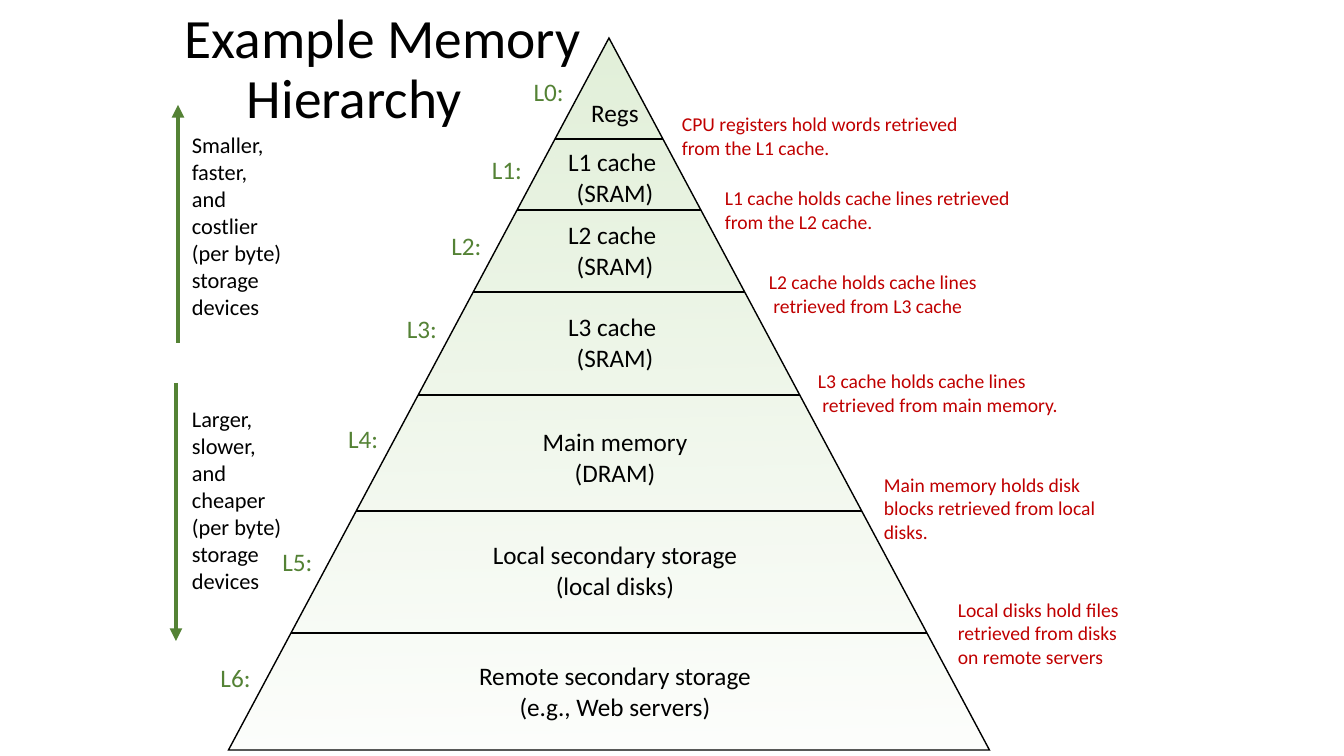
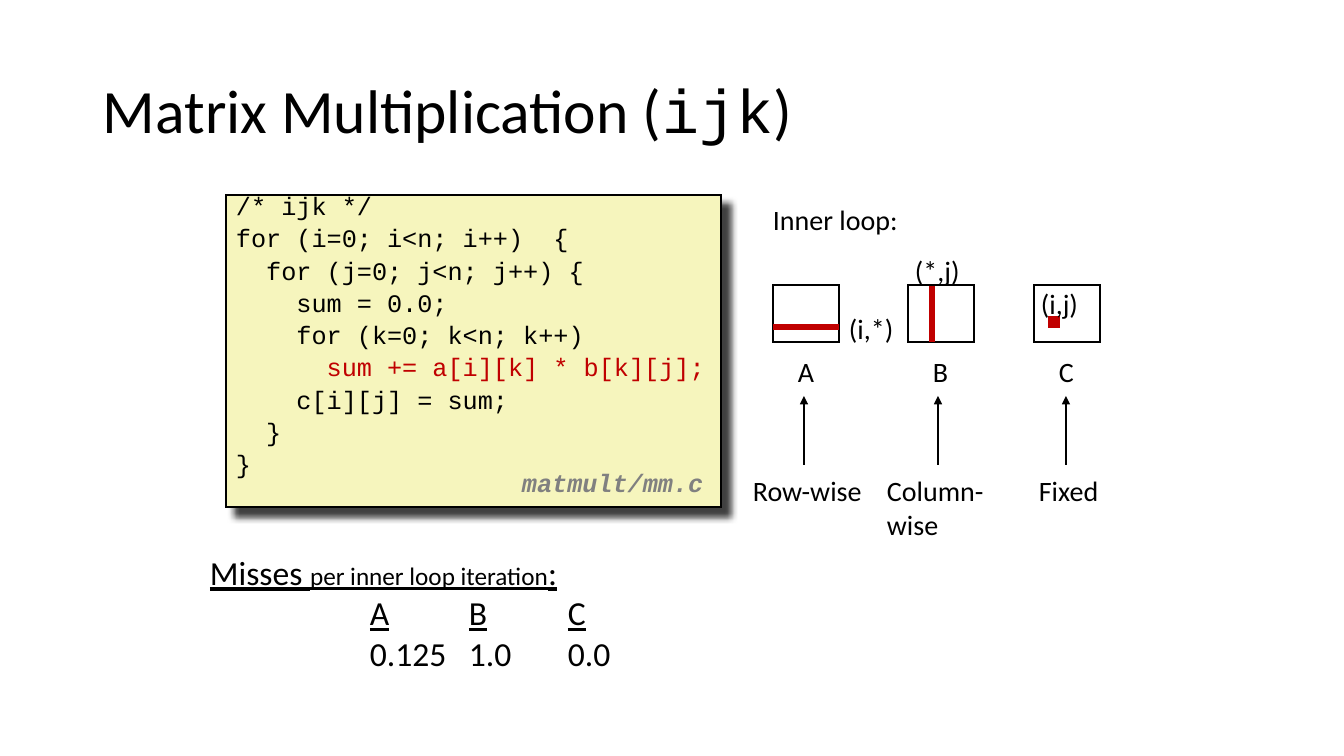
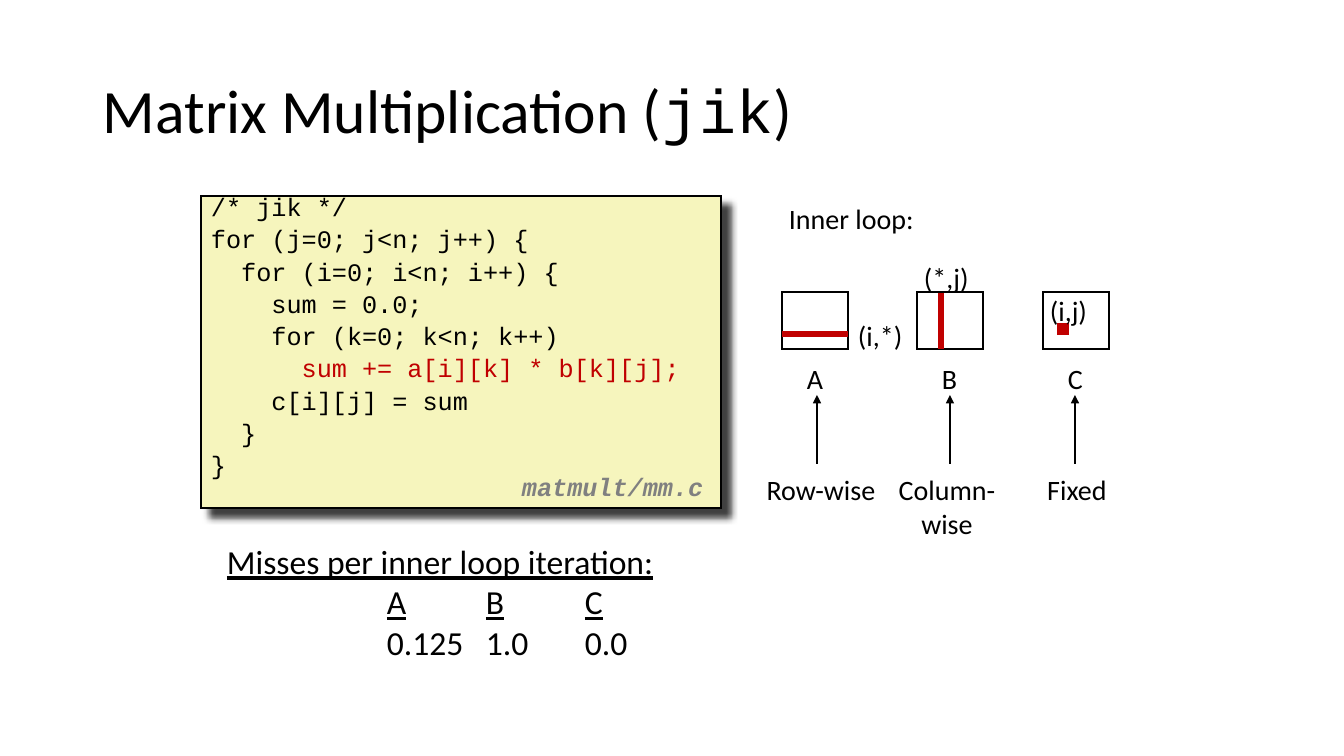
"""Build three slides on the memory hierarchy and matrix multiplication."""
import lxml.etree
import pptx
import pptx.dml.color
import pptx.enum.shapes
import pptx.enum.text
import pptx.oxml.ns
import pptx.util


class Theme:
    ink, red, green, grey = "000000", "C00000", "548235", "808080"
    white, dot, code, leaf = "FFFFFF", "FF0000", "F6F5BD", "E2F0D9"
    sans, mono = "Calibri", "Courier New"
    title, crown, stat, label, body, side, note = 44, 39.6, 24, 20, 18, 16, 14
    thin, mid, rail, bar = 1, 2, 3, 4.5


APEX, BASE, HALF = (609, 38), 750, 380.5
MID = 615
LEVELS = [
    (["Regs"], 112, 68, 91),
    (["L1 cache ", "(SRAM)"], 177, 116, 169),
    (["L2 cache ", "(SRAM)"], 250, 116, 245),
    (["L3 cache ", "(SRAM)"], 342, 116, 328),
    (["Main memory", "(DRAM)"], 457, 166, 438),
    (["Local secondary storage", "(local disks)"], 570, 269, 561),
    (["Remote secondary storage", "(e.g., Web servers)"], 691, 297, 677),
]
CUTS = [139, 210, 292, 395, 511, 633]
NOTES = [
    (["CPU registers hold words retrieved from the L1 cache."], (672, 107, 322, 57)),
    (["L1 cache holds cache lines retrieved from the L2 cache."], (715, 181, 312, 57)),
    (["L2 cache holds cache lines", " retrieved from L3 cache"], (759, 265, 290, 57)),
    (["L3 cache holds cache lines", " retrieved from main memory."], (808, 364, 318, 57)),
    (["Main memory holds disk blocks retrieved from local disks."], (874, 467, 241, 82)),
    (["Local disks hold files retrieved from disks ", "on remote servers"],
     (948, 592, 228, 82)),
]
RAILS = [
    (["Smaller,", "faster,", "and ", "costlier", "(per byte)", "storage ", "devices"],
     (182, 125, 111, 201), (178, 343, 178, 105)),
    (["Larger, ", "slower, ", "and ", "cheaper ", "(per byte)", "storage", "devices"],
     (182, 399, 111, 201), (176, 383, 176, 641)),
]

SUM = "sum += a[i][k] * b[k][j];"
STATS = [("A", "0.125"), ("B", "1.0"), ("C", "0.0")]
STOPS = [160, 259, 358]
GRID = [("A", 0, 37), ("B", 135, 35), ("C", 261, 35)]
INDEX = [("(i,*)", 66, 22, 68), ("(*,j)", 132, -36, 68), ("(i,j)", 258, -3, 60)]
WAYS = [(["Row-wise"], 130, 43), (["Column-", "wise"], 118, 78), (["Fixed"], 80, 43)]
LOOPS = [
    dict(name="ijk", code=["/* ijk */", "for (i=0; i<n; i++)  {",
                           "  for (j=0; j<n; j++) {", "    sum = 0.0;",
                           "    for (k=0; k<n; k++) ", SUM, "    c[i][j] = sum;",
                           "  }", "} "],
         panel=(226, 195, 495, 312), file=465, grid=(773, 285), head=(763, 198),
         arrows=(804, 938, 1066), rise=(465, 396), ways=(743, 877, 1029), low=469,
         align="LEFT", stats=(200, 547, 559, 134),
         misses=[("Misses ", {}), ("per inner loop iteration", {"size": Theme.body}),
                 (":", {})]),
    dict(name="jik", code=["/* jik */", "for (j=0; j<n; j++) {",
                           "  for (i=0; i<n; i++) {", "    sum = 0.0;",
                           "    for (k=0; k<n; k++)", SUM, "    c[i][j] = sum",
                           "  }", "}"],
         panel=(201, 196, 520, 312), file=469, grid=(782, 292), head=(779, 197),
         arrows=(817, 950, 1075), rise=(464, 395), ways=(756, 888, 1037), low=468,
         align="CENTER", stats=(217, 536, 601, 135),
         misses=[("Misses per inner loop iteration:", {})]),
]

SHAPE = pptx.enum.shapes.MSO_SHAPE
ALIGN = pptx.enum.text.PP_ALIGN
ANCHOR = pptx.enum.text.MSO_ANCHOR
FIT = pptx.enum.text.MSO_AUTO_SIZE


def px(n):
    return round(n * 914400 / 100.8)


def rgb(code):
    return pptx.dml.color.RGBColor.from_string(code)


def sub(node, tag, **attrs):
    return lxml.etree.SubElement(node, pptx.oxml.ns.qn("a:" + tag), attrs)


def part(shape, tag):
    return shape._element.spPr.find(pptx.oxml.ns.qn("a:" + tag))


def write(frame, paras, size, color=Theme.ink, font=Theme.sans, align="LEFT",
          lead=None, gap=None):
    for i, para in enumerate(paras):
        p = frame.paragraphs[0] if i == 0 else frame.add_paragraph()
        p.alignment = ALIGN[align]
        if lead:
            p.line_spacing = lead
        if gap:
            p.space_before = pptx.util.Pt(gap)
        for words, look in [(para, {})] if isinstance(para, str) else para:
            run = p.add_run()
            run.text = words
            run.font.name = look.get("font", font)
            run.font.size = pptx.util.Pt(look.get("size", size))
            run.font.color.rgb = rgb(look.get("color", color))
            for flag in ("bold", "italic", "underline"):
                if flag in look:
                    setattr(run.font, flag, True)


def text(slide, box, paras, size, anchor="TOP", wrap=False, grow=True, **look):
    frame = slide.shapes.add_textbox(*map(px, box)).text_frame
    frame.word_wrap = wrap
    frame.auto_size = FIT.SHAPE_TO_FIT_TEXT if grow else FIT.NONE
    frame.vertical_anchor = ANCHOR[anchor]
    write(frame, paras, size, **look)
    return frame


def title(slide, box, paras, size):
    return text(slide, box, paras, size, "MIDDLE", True, False, lead=0.9)


def block(slide, box, fill, kind=SHAPE.RECTANGLE, edge=Theme.ink, width=Theme.thin):
    shape = slide.shapes.add_shape(kind, *map(px, box))
    shape.shadow.inherit = False
    shape.fill.solid()
    shape.fill.fore_color.rgb = rgb(fill)
    shape.line.color.rgb = rgb(edge)
    shape.line.width = pptx.util.Pt(width)
    sub(part(shape, "ln"), "miter", lim="800000")
    return shape


def line(slide, ends, color=Theme.ink, width=Theme.thin, arrow=False):
    link = slide.shapes.add_connector(
        pptx.enum.shapes.MSO_CONNECTOR.STRAIGHT, *map(px, ends))
    link.line.color.rgb = rgb(color)
    link.line.width = pptx.util.Pt(width)
    if arrow:
        sub(part(link, "ln"), "tailEnd", type="triangle")
    sub(link._element.spPr, "effectLst")


def reach(y):
    return HALF * (y - APEX[1]) / (BASE - APEX[1])


def pyramid(slide):
    frame = title(slide, (175, 27, 961, 87), ["Example Memory ", "Hierarchy"], Theme.crown)
    frame.paragraphs[1]._p.get_or_add_pPr().set("marL", str(px(62)))
    x, top = APEX
    peak = block(slide, (x - HALF, top, 2 * HALF, BASE - top), Theme.leaf,
                 SHAPE.ISOSCELES_TRIANGLE)
    peak.fill.gradient()
    peak.fill.gradient_angle = 91
    for stop in peak.fill.gradient_stops:
        stop.color.rgb = rgb(Theme.leaf)
    tint = next(peak._element.spPr.iter(pptx.oxml.ns.qn("a:srgbClr")))
    sub(tint, "alpha", val="7000")
    for y in CUTS:
        line(slide, (x - reach(y), y, x + reach(y), y))
    for i, (name, y, wide, tag) in enumerate(LEVELS):
        high = 40 if len(name) == 1 else 72
        text(slide, (MID - wide / 2, y - high / 2, wide, high), name, Theme.body,
             "MIDDLE", align="CENTER")
        text(slide, (x - reach(tag) - 57, tag - 20, 51, 40), [f"L{i}:"], Theme.body,
             "MIDDLE", color=Theme.green)
    for paras, box in NOTES:
        text(slide, box, paras, Theme.note, "MIDDLE", True, color=Theme.red)
    for paras, box, ends in RAILS:
        text(slide, box, paras, Theme.side, "MIDDLE")
        line(slide, ends, Theme.green, Theme.rail, True)


def listing(slide, loop):
    panel = block(slide, loop["panel"], Theme.code)
    cast = sub(part(panel, "effectLst"), "outerShdw",
               blurRad=str(pptx.util.Pt(5)), dist=str(pptx.util.Pt(8.5)),
               dir="2700000", algn="tl", rotWithShape="0")
    sub(sub(cast, "srgbClr", val=Theme.ink), "alpha", val="75000")
    panel.text_frame.vertical_anchor = ANCHOR.TOP
    panel.text_frame.word_wrap = True
    rows = [[("      ", {}), (SUM, {"color": Theme.red})] if row == SUM else row
            for row in loop["code"]]
    write(panel.text_frame, rows, Theme.body, font=Theme.mono, lead=0.65, gap=9)
    text(slide, (512, loop["file"], 210, 39),
         [[("matmult/mm.c", {"bold": True, "italic": True})]], Theme.body,
         color=Theme.grey, font=Theme.mono, lead=0.94)


def access(slide, loop):
    x, y = loop["grid"]
    text(slide, (*loop["head"], 146, 43), ["Inner loop:"], Theme.label)
    for name, dx, wide in GRID:
        block(slide, (x + dx, y, 66, 57), Theme.white)
        text(slide, (x + dx + 15, y + 65, wide, 43), [name], Theme.label)
    line(slide, (x + 159, y + 1, x + 159, y + 57), Theme.red, Theme.bar)
    line(slide, (x, y + 42, x + 66, y + 42), Theme.red, Theme.bar)
    block(slide, (x + 278, y + 34, 6, 6), Theme.dot, edge=Theme.red, width=Theme.bar)
    for name, dx, dy, wide in INDEX:
        text(slide, (x + dx, y + dy, wide, 43), [name], Theme.label)
    start, end = loop["rise"]
    for (way, wide, high), left, mid in zip(WAYS, loop["ways"], loop["arrows"]):
        text(slide, (left, loop["low"], wide, high), way, Theme.label,
             align=loop["align"])
        line(slide, (mid, start, mid, end), width=Theme.mid, arrow=True)


def misses(slide, loop):
    under = {"underline": True}
    head = [(words, {**look, **under}) for words, look in loop["misses"]]
    names = [run for name, _ in STATS for run in (("\t", {}), (name, under))]
    rates = "".join("\t" + rate for _, rate in STATS)
    frame = text(slide, loop["stats"], [head, names, rates], Theme.stat,
                 wrap=True, grow=False)
    for p in frame.paragraphs[1:]:
        tabs = sub(p._p.get_or_add_pPr(), "tabLst")
        for stop in STOPS:
            sub(tabs, "tab", pos=str(px(stop)), algn="l")


deck = pptx.Presentation()
deck.slide_width, deck.slide_height = px(1344), px(756)
blank = deck.slide_layouts[6]
pyramid(deck.slides.add_slide(blank))
for loop in LOOPS:
    slide = deck.slides.add_slide(blank)
    title(slide, (93, 41, 1159, 146),
          [[("Matrix Multiplication (", {}), (loop["name"], {"font": Theme.mono}),
            (")", {})]], Theme.title)
    listing(slide, loop)
    access(slide, loop)
    misses(slide, loop)
deck.save("out.pptx")
